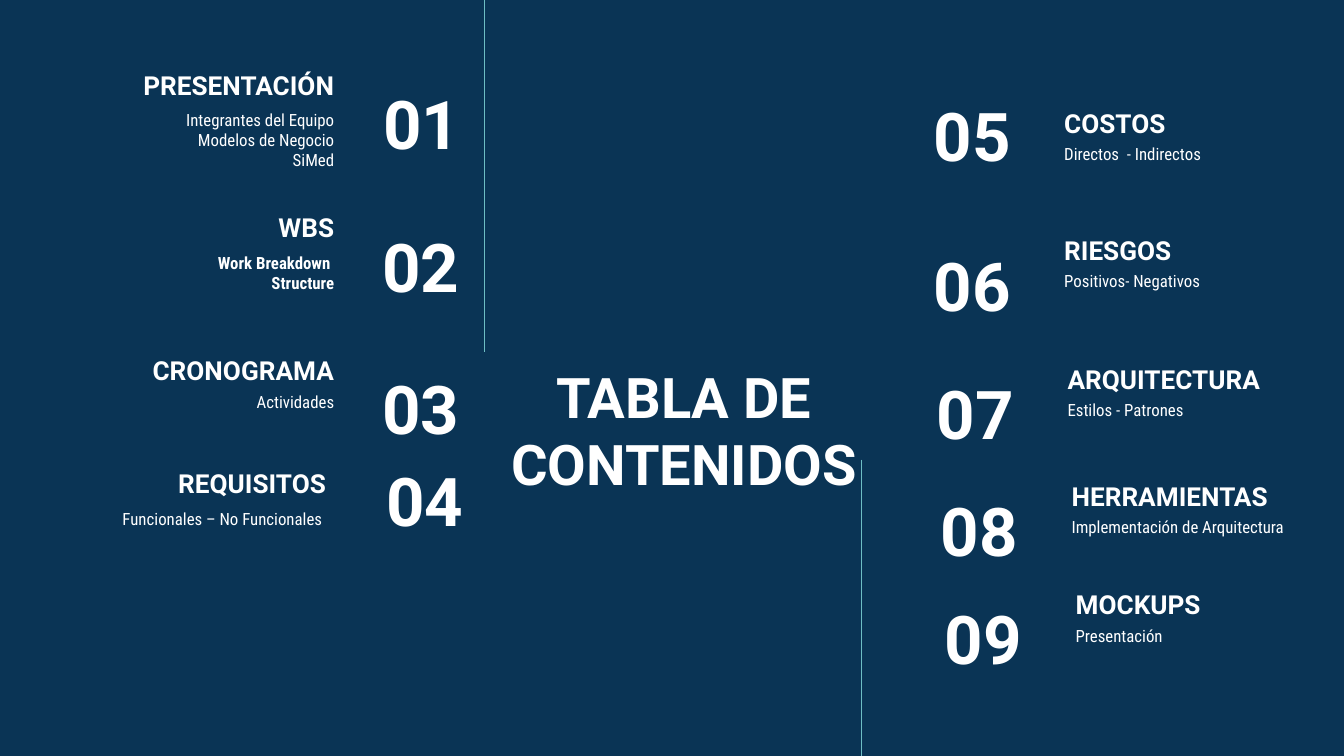
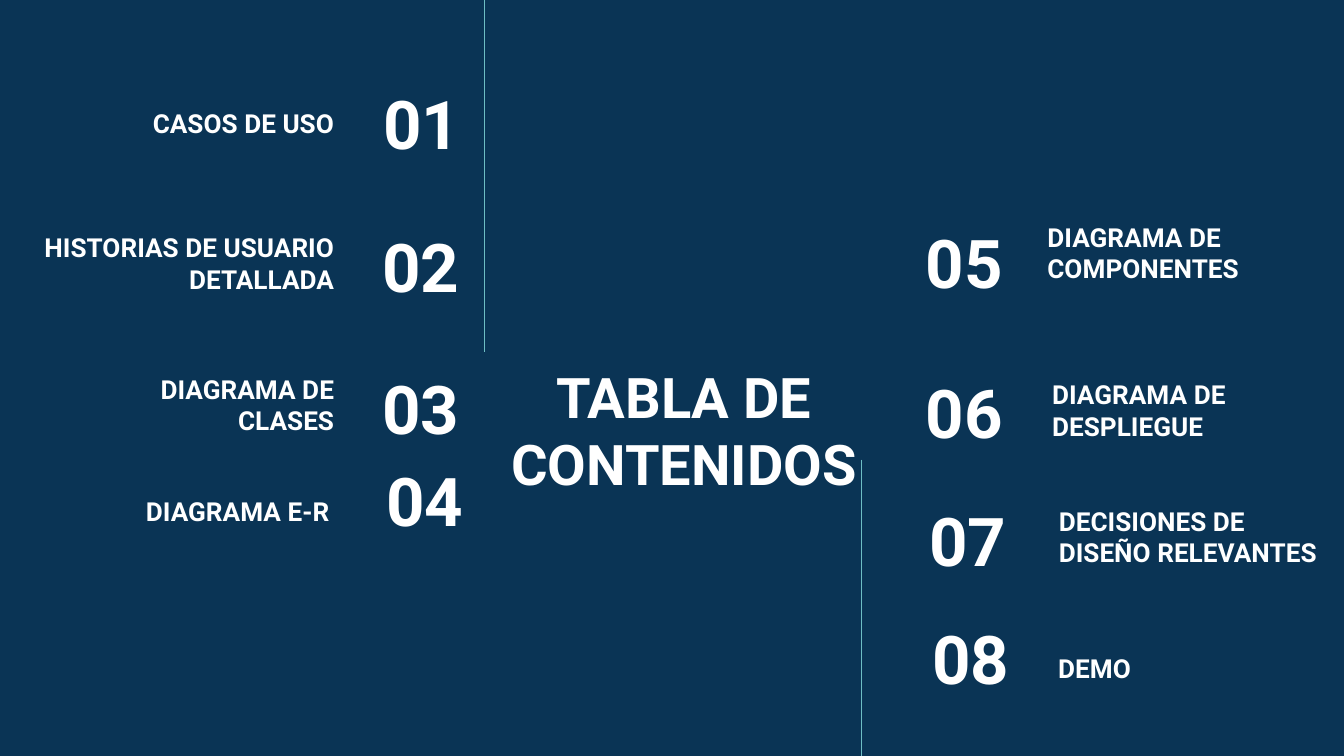
from dataclasses import dataclass
from lxml import etree
from pptx import Presentation
from pptx.dml.color import RGBColor
from pptx.enum.shapes import MSO_CONNECTOR as Connector
from pptx.enum.text import MSO_ANCHOR as Anchor, PP_ALIGN as Align
from pptx.oxml.ns import qn
from pptx.util import Inches, Pt

NAVY, TEAL, WHITE = "0A3455", "6EBDC4", "FFFFFF"
HEAD_FONT, BODY_FONT = "Roboto", "Roboto Condensed"
COLS, ROWS = 100, 56.25
CELL = Inches(0.1)
BOX_ROWS = 6.3
HEADING_COLS, DETAIL_COLS = 21.6, 18.3
DETAIL_DROP = 4.97
LEFT_STEP = 10.6
LEFT_EDGE = 25.85
LEFT_NUMBERS = [(23.15, 6), (23.05, 6 + LEFT_STEP), (23.05, 6 + 2 * LEFT_STEP)]


@dataclass
class Topic:
    heading: str
    edge: float
    top: float
    details: tuple = ()
    number_at: tuple = ()
    cols: float = HEADING_COLS
    detail_shift: tuple = (0, 0)
    bold_details: bool = False


LEFT_1 = [
    Topic("PRESENTACIÓN", LEFT_EDGE, 2.2,
          ("Integrantes del Equipo", "Modelos de Negocio", "SiMed")),
    Topic("WBS", LEFT_EDGE, 2.2 + LEFT_STEP,
          ("Work Breakdown ", "Structure"), bold_details=True),
    Topic("CRONOGRAMA", LEFT_EDGE, 2.2 + 2 * LEFT_STEP, ("Actividades",)),
    Topic("REQUISITOS", 25.25, 31.8, ("Funcionales – No Funcionales",),
          detail_shift=(-0.3, 0.33)),
]
RIGHT_1 = [
    Topic("COSTOS", 78.2, 5, ("Directos  - Indirectos",), (68.5, 6.85)),
    Topic("RIESGOS", 78.2, 14.45, ("Positivos- Negativos",), (68.5, 18)),
    Topic("ARQUITECTURA", 78.45, 24.05, ("Estilos - Patrones",), (68.7, 27.55)),
    Topic("HERRAMIENTAS", 78.75, 32.75, ("Implementación de Arquitectura",), (69, 36.3)),
    Topic("MOCKUPS", 79.05, 40.85, ("Presentación",), (69.3, 44.3)),
]
LEFT_2 = [
    Topic("CASOS DE USO", LEFT_EDGE, 5),
    Topic("HISTORIAS DE USUARIO DETALLADA", LEFT_EDGE, 16.6, cols=24.8),
    Topic("DIAGRAMA DE CLASES", LEFT_EDGE, 27.15),
    Topic("DIAGRAMA E-R", 25.5, 33.9),
]
RIGHT_2 = [
    Topic("DIAGRAMA DE COMPONENTES", 76.95, 15.85, number_at=(67.9, 16.3)),
    Topic("DIAGRAMA DE DESPLIEGUE", 77.3, 27.55, number_at=(67.9, 27.45)),
    Topic("DECISIONES DE DISEÑO RELEVANTES", 77.8, 36.95, number_at=(68.15, 37)),
    Topic("DEMO", 77.75, 45.55, number_at=(68.4, 45.75)),
]


def grid(*cells):
    return [round(c * CELL) for c in cells]


def rgb(color):
    return RGBColor.from_string(color)


def add_text(s, box, lines, size, font=HEAD_FONT, align=Align.LEFT,
             anchor=Anchor.MIDDLE, bold=True):
    tf = s.shapes.add_textbox(*grid(*box)).text_frame
    tf.word_wrap = True
    tf.vertical_anchor = anchor
    tf.margin_left = tf.margin_right = tf.margin_top = tf.margin_bottom = CELL
    for i, line in enumerate(lines):
        p = tf.paragraphs[0] if i == 0 else tf.add_paragraph()
        p.text = line
        p.alignment = align
        p.line_spacing = 1.0
        p.font.name, p.font.size, p.font.bold = font, Pt(size), bold
        p.font.color.rgb = rgb(WHITE)


def add_rule(s, col, top, bottom):
    x, y1, y2 = grid(col, top, bottom)
    line = s.shapes.add_connector(Connector.STRAIGHT, x, y1, x, y2)
    line.line.color.rgb = rgb(TEAL)
    line.line.width = Pt(0.75)
    etree.SubElement(line._element.spPr, qn("a:effectLst"))


def add_number(s, n, col, row, align=Align.LEFT):
    cols = 12.1 if align == Align.RIGHT else 11.7
    add_text(s, (col, row, cols, BOX_ROWS), [f"{n:02}"], 36, align=align)


def add_topic(s, topic, align):
    def box(edge, top, cols):
        left = edge - cols if align == Align.RIGHT else edge
        return left, top, cols, BOX_ROWS

    add_text(s, box(topic.edge, topic.top, topic.cols), [topic.heading], 14,
             align=align, anchor=Anchor.BOTTOM)
    if topic.details:
        dx, dy = topic.detail_shift
        detail_box = box(topic.edge + dx, topic.top + DETAIL_DROP + dy, DETAIL_COLS)
        add_text(s, detail_box, topic.details, 9, BODY_FONT, align, Anchor.TOP,
                 topic.bold_details)


def add_contents_slide(prs, left, right):
    s = prs.slides.add_slide(prs.slide_layouts[6])
    s.background.fill.solid()
    s.background.fill.fore_color.rgb = rgb(NAVY)
    add_text(s, (35.45, 26.8, 30.9, 10.3), ["TABLA DE CONTENIDOS"], 30, align=Align.CENTER)
    add_rule(s, 36.05, 0, 26.2)
    add_rule(s, 64.1, 34.2, 56.4)
    for n, (col, row) in enumerate(LEFT_NUMBERS, 1):
        add_number(s, n, col, row, Align.RIGHT)
    add_number(s, len(left), 27.75, 34)
    for topic in left:
        add_topic(s, topic, Align.RIGHT)
    for n, topic in enumerate(right, len(left) + 1):
        add_number(s, n, *topic.number_at)
        add_topic(s, topic, Align.LEFT)


def main():
    prs = Presentation()
    prs.slide_width, prs.slide_height = grid(COLS, ROWS)
    add_contents_slide(prs, LEFT_1, RIGHT_1)
    add_contents_slide(prs, LEFT_2, RIGHT_2)
    prs.save("out.pptx")


if __name__ == "__main__":
    main()
